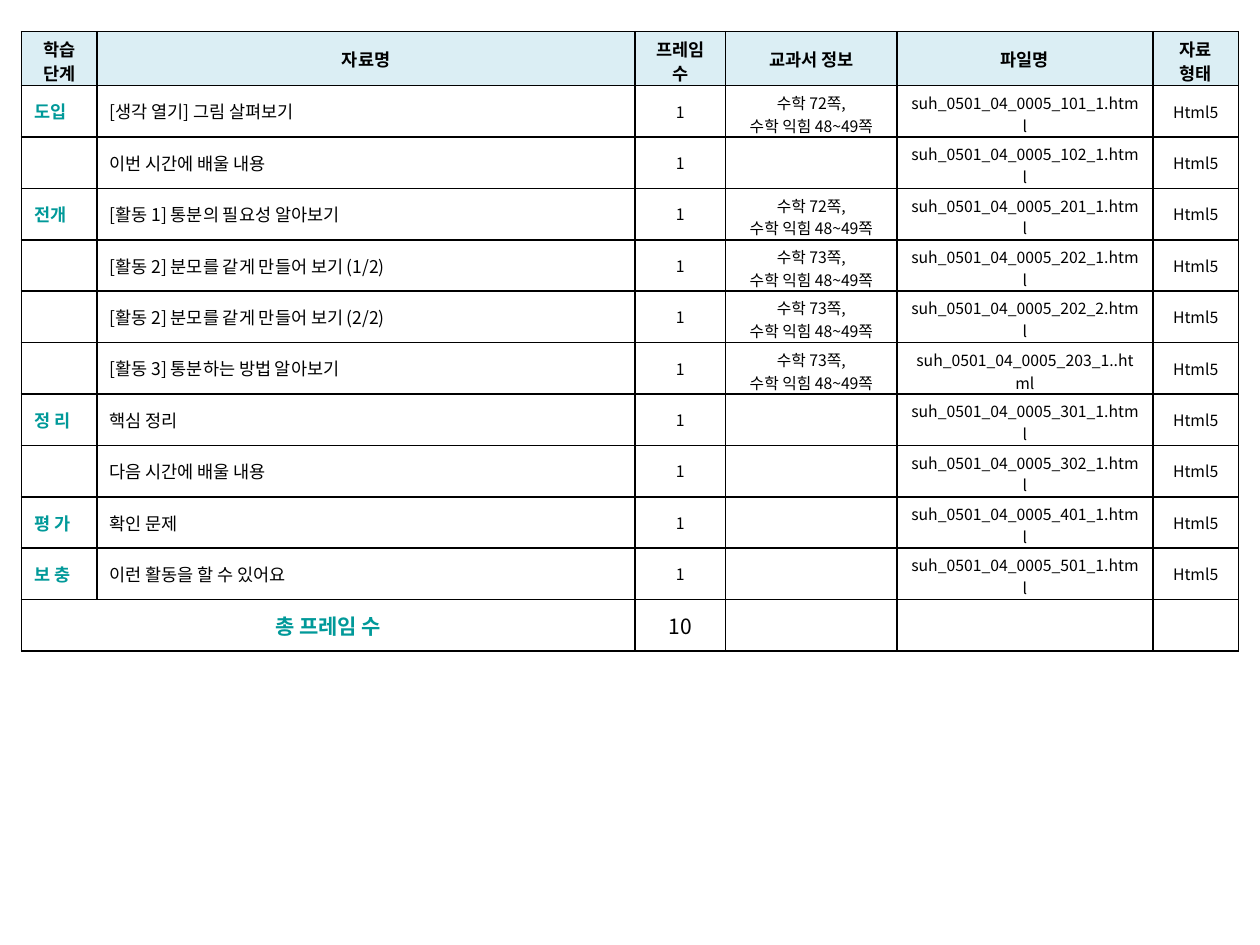
from lxml.etree import SubElement
from pptx import Presentation
from pptx.dml.color import RGBColor
from pptx.enum.text import MSO_ANCHOR, PP_ALIGN
from pptx.oxml.ns import qn
from pptx.util import Inches, Pt

FONT = "Noto Sans CJK KR"
BLACK = RGBColor(0x00, 0x00, 0x00)
TEAL = RGBColor(0x00, 0x99, 0x99)
PALE_BLUE = RGBColor(0xDB, 0xEE, 0xF4)

column_widths = [0.6, 4.27, 0.72, 1.36, 2.03, 0.68]
table_height = 4.92
header_height = 0.43
headers = ["학습 단계", "자료명", "프레임 수", "교과서 정보", "파일명", "자료\n형태"]
wrapped_headers = ["학습 단계", "프레임 수", "자료\n형태"]
lessons = [
    ("도입", "[생각 열기] 그림 살펴보기", 72, "101_1"),
    ("", "이번 시간에 배울 내용", None, "102_1"),
    ("전개", "[활동 1] 통분의 필요성 알아보기", 72, "201_1"),
    ("", "[활동 2] 분모를 같게 만들어 보기 (1/2)", 73, "202_1"),
    ("", "[활동 2] 분모를 같게 만들어 보기 (2/2)", 73, "202_2"),
    ("", "[활동 3] 통분하는 방법 알아보기", 73, "203_1."),
    ("정 리", "핵심 정리", None, "301_1"),
    ("", "다음 시간에 배울 내용", None, "302_1"),
    ("평 가", "확인 문제", None, "401_1"),
    ("보 충", "이런 활동을 할 수 있어요", None, "501_1"),
]


def write_cell(cell, text, size=9, color=BLACK, bold=False, align=PP_ALIGN.CENTER,
               fill=None, top=0.05, bottom=0.05, spacing=None):
    cell.vertical_anchor = MSO_ANCHOR.MIDDLE
    cell.margin_left = cell.margin_right = Inches(0.1)
    cell.margin_top = Inches(top)
    cell.margin_bottom = Inches(bottom)
    properties = cell._tc.get_or_add_tcPr()
    for side in ("a:lnL", "a:lnR", "a:lnT", "a:lnB"):
        border = SubElement(properties, qn(side), w=str(Pt(1)))
        border_fill = SubElement(border, qn("a:solidFill"))
        SubElement(border_fill, qn("a:srgbClr"), val=str(BLACK))
    if fill is None:
        cell.fill.background()
    else:
        cell.fill.solid()
        cell.fill.fore_color.rgb = fill
    frame = cell.text_frame
    for index, line in enumerate(text.split("\n")):
        paragraph = frame.add_paragraph() if index else frame.paragraphs[0]
        paragraph.alignment = align
        paragraph.line_spacing = spacing
        run = paragraph.add_run()
        run.text = line
        run.font.name = FONT
        run.font.size = Pt(size)
        run.font.bold = bold
        run.font.color.rgb = color


presentation = Presentation()
presentation.slide_width = Inches(10)
presentation.slide_height = Inches(7.5)
slide = presentation.slides.add_slide(presentation.slide_layouts[6])

row_count = len(lessons) + 2
row_height = (table_height - header_height) / (row_count - 1)
plan = slide.shapes.add_table(
    row_count, len(headers), Inches(0.17), Inches(0.25),
    Inches(sum(column_widths)), Inches(table_height),
).table
plan.first_row = False
plan.horz_banding = False
for column, width in zip(plan.columns, column_widths):
    column.width = Inches(width)
for index, row in enumerate(plan.rows):
    row.height = Inches(row_height if index else header_height)

for column, header in enumerate(headers):
    is_wrapped = header in wrapped_headers
    write_cell(plan.cell(0, column), header, size=10, bold=True, fill=PALE_BLUE,
               bottom=0 if is_wrapped else 0.05, spacing=0.94 if is_wrapped else None)

for row, (stage, title, page, code) in enumerate(lessons, start=1):
    textbook = f"수학 {page}쪽,\n수학 익힘 48~49쪽" if page else ""
    write_cell(plan.cell(row, 0), stage, size=10, color=TEAL, bold=True, align=PP_ALIGN.JUSTIFY)
    write_cell(plan.cell(row, 1), title, size=10, align=PP_ALIGN.LEFT)
    write_cell(plan.cell(row, 2), "1")
    write_cell(plan.cell(row, 3), textbook, top=0.04, bottom=0)
    write_cell(plan.cell(row, 4), f"suh_0501_04_0005_{code}.html", top=0.04, bottom=0)
    write_cell(plan.cell(row, 5), "Html5")

total_row = row_count - 1
plan.cell(total_row, 0).merge(plan.cell(total_row, 1))
totals = ["총 프레임 수", "", "10", "", "", ""]
for column, total in enumerate(totals):
    is_label = column == 0
    write_cell(plan.cell(total_row, column), total, size=12,
               color=TEAL if is_label else BLACK, bold=is_label)

presentation.save("out.pptx")
